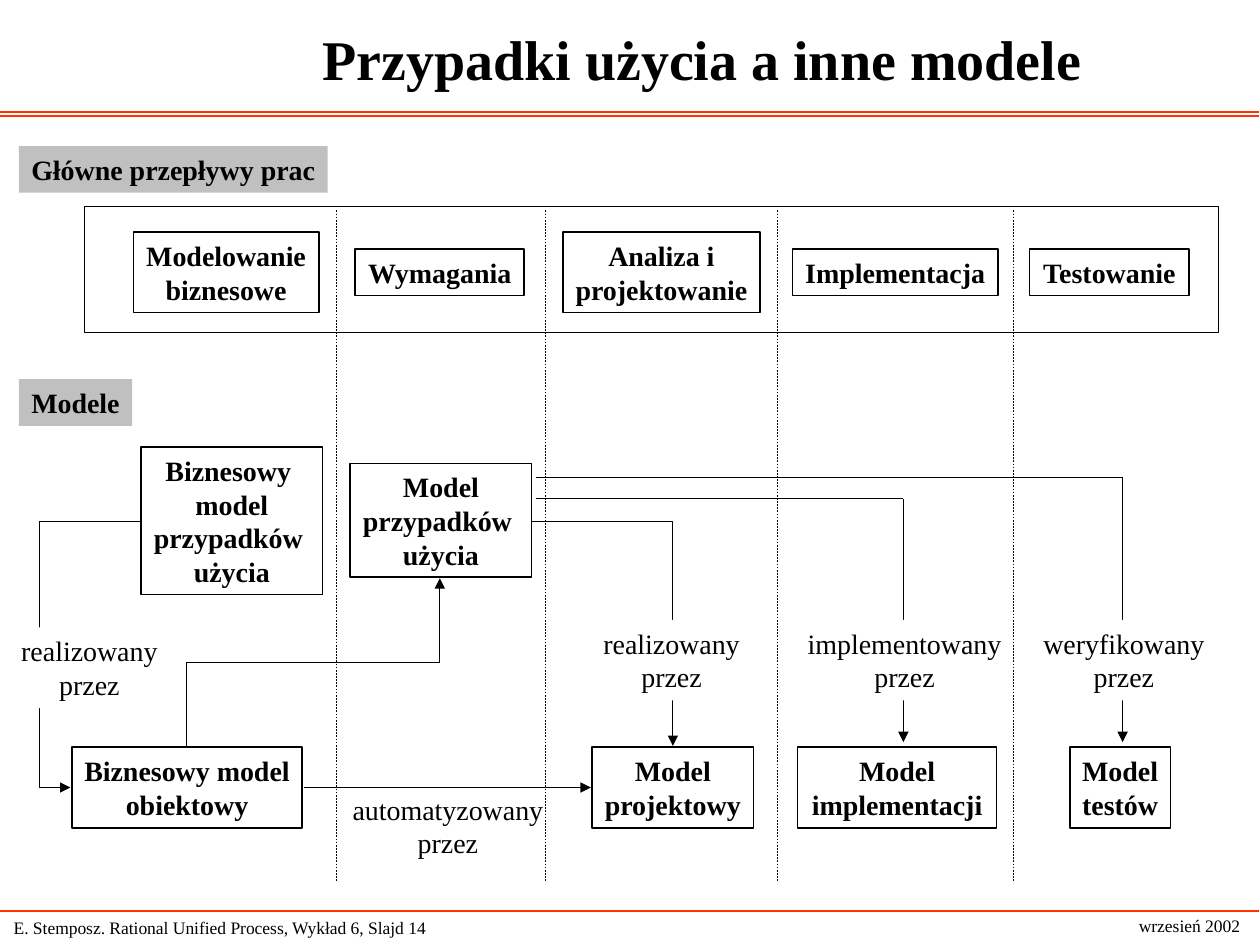
from dataclasses import dataclass

from lxml.etree import SubElement
from pptx import Presentation
from pptx.dml.color import RGBColor
from pptx.enum.dml import MSO_LINE
from pptx.enum.shapes import MSO_CONNECTOR, MSO_SHAPE
from pptx.enum.text import MSO_ANCHOR, MSO_AUTO_SIZE, PP_ALIGN
from pptx.oxml.ns import qn
from pptx.util import Inches, Pt


@dataclass(frozen=True)
class Theme:
    font: str = "Times New Roman"
    black: RGBColor = RGBColor(0, 0, 0)
    white: RGBColor = RGBColor(255, 255, 255)
    grey: RGBColor = RGBColor(0xC0, 0xC0, 0xC0)
    red: RGBColor = RGBColor(0xFF, 0x33, 0x00)
    title: int = 32
    body: int = 16
    footer: int = 10


THEME = Theme()


def set_text(tf, text, size=THEME.body, bold=False, align=PP_ALIGN.CENTER,
             anchor=MSO_ANCHOR.MIDDLE, wrap=False, fit=MSO_AUTO_SIZE.SHAPE_TO_FIT_TEXT):
    """Write one paragraph for each line of text."""
    tf.word_wrap = wrap
    tf.auto_size = fit
    tf.vertical_anchor = anchor
    for i, line in enumerate(text.split("\n")):
        p = tf.paragraphs[0] if i == 0 else tf.add_paragraph()
        p.alignment = align
        r = p.add_run()
        r.text = line
        r.font.name = THEME.font
        r.font.size = Pt(size)
        r.font.bold = bold
        r.font.color.rgb = THEME.black


def add_box(s, at, text="", fill=None, line=None, **fmt):
    sp = s.shapes.add_shape(MSO_SHAPE.RECTANGLE, *map(Inches, at))
    sp.shadow.inherit = False
    if fill is None:
        sp.fill.background()
    else:
        sp.fill.solid()
        sp.fill.fore_color.rgb = fill
    if line is None:
        sp.line.fill.background()
    else:
        sp.line.color.rgb = THEME.black
        sp.line.width = Pt(line)
    if text:
        set_text(sp.text_frame, text, **fmt)


def add_text(s, at, text, **fmt):
    sp = s.shapes.add_textbox(*map(Inches, at))
    set_text(sp.text_frame, text, **fmt)


def add_line(s, start, end, color=THEME.black, width=0.5, arrow=False, dash=None,
             kind=MSO_CONNECTOR.STRAIGHT):
    cn = s.shapes.add_connector(kind, *map(Inches, (*start, *end)))
    cn.line.color.rgb = color
    cn.line.width = Pt(width)
    if dash is not None:
        cn.line.dash_style = dash
    if arrow:
        SubElement(cn.line._get_or_add_ln(), qn("a:tailEnd"), type="triangle")
    SubElement(cn._element.spPr, qn("a:effectLst"))
    return cn


def add_elbow(s, start, end, preset="bentConnector3", adjust=None, rotation=0):
    """Add a bent arrow; start and end are its corners before rotation."""
    cn = add_line(s, start, end, arrow=True, kind=MSO_CONNECTOR.ELBOW)
    geom = cn._element.spPr.find(qn("a:prstGeom"))
    geom.set("prst", preset)
    if adjust is not None:
        guides = geom.find(qn("a:avLst"))
        if guides is None:
            guides = SubElement(geom, qn("a:avLst"))
        SubElement(guides, qn("a:gd"), name="adj1", fmla=f"val {round(adjust * 100000)}")
    if rotation:
        cn._element.spPr.find(qn("a:xfrm")).set("rot", str(rotation * 60000))


def add_frame(s):
    """Title, red rules and footer."""
    title = s.shapes.title
    title.left, title.top, title.width, title.height = map(Inches, (1.16, 0, 8.83, 0.92))
    set_text(title.text_frame, "Przypadki użycia a inne modele", size=THEME.title,
             bold=True, wrap=True, fit=MSO_AUTO_SIZE.NONE)
    for y in (0.89, 0.92, 7.23):
        add_line(s, (-0.01, y), (9.99, y), color=THEME.red, width=0.75)
    add_text(s, (0.01, 7.23, 4.48, 0.27),
             "E. Stemposz. Rational Unified Process, Wykład 6, Slajd 14",
             size=THEME.footer, align=PP_ALIGN.LEFT, wrap=True)
    add_text(s, (8.92, 7.21, 1.04, 0.27), "wrzesień 2002", size=THEME.footer)


def add_workflows(s):
    middle = 2.16
    for x, w, h, text in (
        (1.06, 1.47, 0.64, "Modelowanie\nbiznesowe"),
        (2.82, 1.34, 0.37, "Wymagania"),
        (4.47, 1.56, 0.64, "Analiza i\nprojektowanie"),
        (6.29, 1.63, 0.37, "Implementacja"),
        (8.17, 1.27, 0.37, "Testowanie"),
    ):
        add_box(s, (x, middle - h / 2, w, h), text, fill=THEME.white, line=1, bold=True)
    add_box(s, (0.67, 1.64, 9, 1), line=0.5)


def add_headings(s):
    for y, w, text in ((1.16, 2.45, "Główne przepływy prac"), (3.01, 0.9, "Modele")):
        add_box(s, (0.15, y, w, 0.37), text, fill=THEME.grey, bold=True,
                align=PP_ALIGN.LEFT, anchor=MSO_ANCHOR.TOP)


def add_models(s):
    row = 5.93
    for x, y, w, h, text in (
        (1.12, 3.55, 1.44, 1.17, "Biznesowy \nmodel\nprzypadków \nużycia"),
        (2.78, 3.68, 1.44, 0.9, "Model\nprzypadków \nużycia"),
        (0.57, row, 1.83, 0.64, "Biznesowy model\nobiektowy"),
        (4.7, row, 1.28, 0.64, "Model\nprojektowy"),
        (6.33, row, 1.58, 0.64, "Model\nimplementacji"),
        (8.49, row, 0.8, 0.64, "Model\ntestów"),
    ):
        add_box(s, (x, y, w, h), text, fill=THEME.white, line=1, bold=True)


def add_relations(s):
    add_elbow(s, (4.22, 4.14), (5.34, 5.92), preset="bentConnector2")
    add_elbow(s, (1.11, 4.14), (0.56, 6.25), adjust=1.45)
    add_elbow(s, (3.15, 6.26), (1.82, 4.25), rotation=90)
    add_line(s, (2.41, 6.25), (4.69, 6.25), arrow=True)
    for x, y, width in ((7.17, 3.96, 0.5), (8.91, 3.79, 0.75)):
        add_line(s, (4.25, y), (x, y), width=width)
        add_line(s, (x, y), (x, 5.89), arrow=True)


def add_relation_labels(s):
    for x, y, w, verb, fill in (
        (0.07, 4.98, 1.28, "realizowany", THEME.white),
        (2.68, 6.24, 1.75, "automatyzowany", None),
        (4.69, 4.92, 1.28, "realizowany", THEME.white),
        (6.31, 4.92, 1.74, "implementowany", THEME.white),
        (8.18, 4.92, 1.48, "weryfikowany", THEME.white),
    ):
        add_box(s, (x, y, w, 0.64), f"{verb}\nprzez", fill=fill, anchor=MSO_ANCHOR.TOP)


def add_dividers(s):
    for x in (2.67, 4.33, 6.17, 8.04):
        add_line(s, (x, 1.67), (x, 7), width=0.25, dash=MSO_LINE.DASH)


def main():
    prs = Presentation()
    prs.slide_width, prs.slide_height = Inches(10), Inches(7.5)
    s = prs.slides.add_slide(prs.slide_layouts[5])
    add_frame(s)
    add_workflows(s)
    add_headings(s)
    add_models(s)
    add_relations(s)
    add_relation_labels(s)
    add_dividers(s)
    prs.save("out.pptx")


if __name__ == "__main__":
    main()
